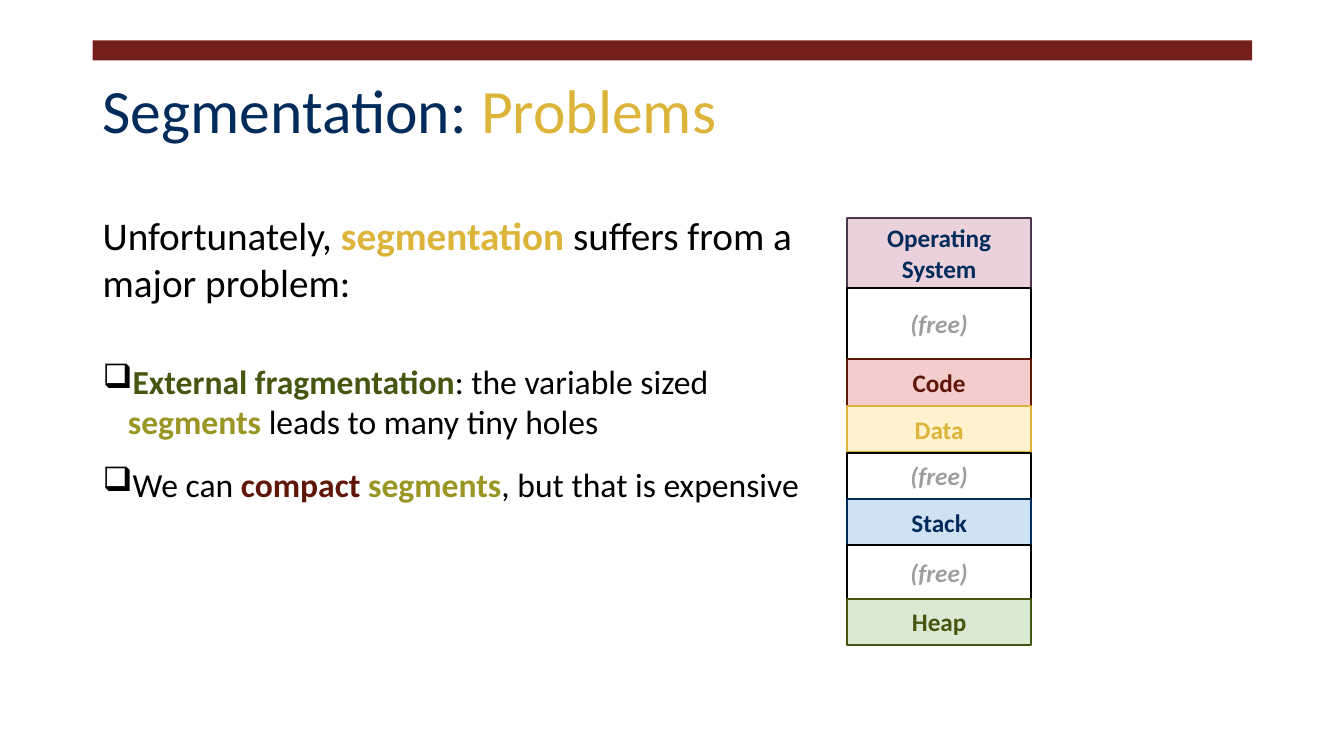
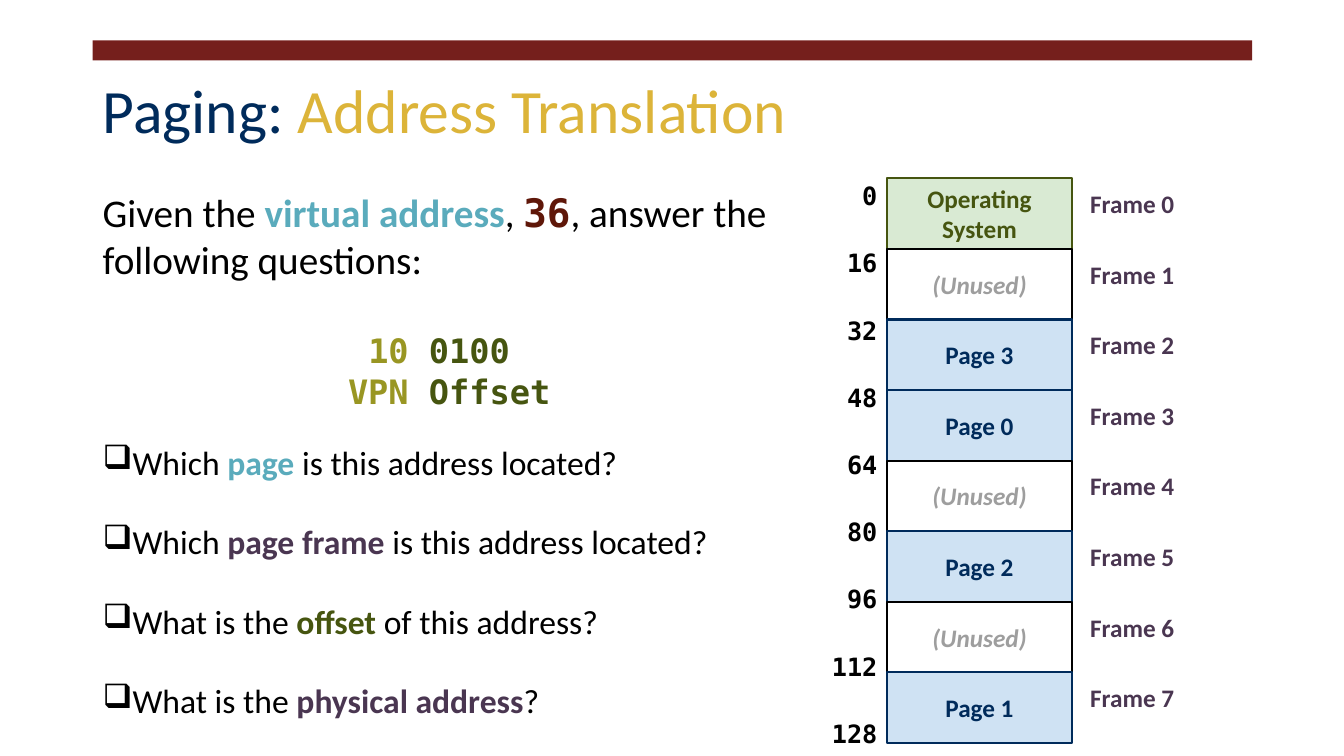
import lxml.etree
import pptx
import pptx.dml.color
import pptx.enum.shapes
import pptx.enum.text
import pptx.oxml.ns
import pptx.util

RGBColor = pptx.dml.color.RGBColor
MAROON = RGBColor(0x75, 0x1F, 0x1C)
NAVY = RGBColor(0x00, 0x2B, 0x5B)
GOLD = RGBColor(0xDC, 0xB4, 0x39)
BLACK = RGBColor(0x00, 0x00, 0x00)
WHITE = RGBColor(0xFF, 0xFF, 0xFF)
GREY = RGBColor(0x9E, 0x9E, 0x9E)
GREEN = RGBColor(0x46, 0x55, 0x10)
OLIVE = RGBColor(0x99, 0x96, 0x23)
RED = RGBColor(0x5F, 0x17, 0x09)
TEAL = RGBColor(0x5A, 0xAB, 0xBC)
PURPLE = RGBColor(0x4A, 0x36, 0x51)
PALE_PINK = RGBColor(0xEA, 0xD1, 0xDC)
PALE_BLUE = RGBColor(0xCF, 0xE2, 0xF3)
PALE_GREEN = RGBColor(0xD9, 0xEA, 0xD3)
PALE_GOLD = RGBColor(0xFF, 0xF2, 0xCC)
PALE_RED = RGBColor(0xF4, 0xCC, 0xCC)

SANS = "Calibri"
MONO = "DejaVu Sans Mono"
ALIGN = pptx.enum.text.PP_ALIGN
ANCHOR = pptx.enum.text.MSO_ANCHOR

BLOCK_STYLES = {
    "system": {"fill": PALE_PINK, "line": PURPLE, "color": NAVY},
    "free": {"fill": WHITE, "line": BLACK, "color": GREY, "italic": True},
    "code": {"fill": PALE_RED, "line": RED, "color": RED},
    "data": {"fill": PALE_GOLD, "line": GOLD, "color": GOLD},
    "blue": {"fill": PALE_BLUE, "line": NAVY, "color": NAVY},
    "green": {"fill": PALE_GREEN, "line": GREEN, "color": GREEN},
}


class Deck:
    grid_step = pptx.util.Inches(0.1)
    left = 9.2
    top = 4
    width = 115
    block_width = 18.3
    block_height = 7

    def __init__(self):
        self.presentation = pptx.Presentation()
        self.presentation.slide_width = pptx.util.Inches(13.33)
        self.presentation.slide_height = pptx.util.Inches(7.5)
        self.slide = None

    def place(self, *cells):
        return [round(cell * self.grid_step) for cell in cells]

    def new_slide(self, topic, subject):
        self.slide = self.presentation.slides.add_slide(self.presentation.slide_layouts[6])
        self.rectangle(self.left, self.top, self.width, 2, MAROON)
        frame = self.text_box(self.left, self.top, self.width, 14.5, ANCHOR.MIDDLE)
        runs = [(topic, {"color": NAVY, "bold": False}), (subject, {"color": GOLD, "bold": False})]
        self.paragraph(frame, runs, 44, line_spacing=0.9)

    def rectangle(self, left, top, width, height, fill, line=None):
        shape = self.slide.shapes.add_shape(
            pptx.enum.shapes.MSO_SHAPE.RECTANGLE, *self.place(left, top, width, height))
        shape.shadow.inherit = False
        shape.fill.solid()
        shape.fill.fore_color.rgb = fill
        if line is None:
            shape.line.fill.background()
        else:
            shape.line.color.rgb = line
            shape.line.width = pptx.util.Pt(1.5)
        return shape

    def prepare(self, shape, anchor):
        frame = shape.text_frame
        settings = {"word_wrap": True, "vertical_anchor": anchor}
        for side in ("left", "top", "right", "bottom"):
            settings["margin_" + side] = self.grid_step
        for name, value in settings.items():
            setattr(frame, name, value)
        return frame

    def text_box(self, left, top, width, height, anchor=ANCHOR.TOP):
        shape = self.slide.shapes.add_textbox(*self.place(left, top, width, height))
        return self.prepare(shape, anchor)

    def paragraph(self, frame, runs, size, bullet=False, indent=0, **layout):
        paragraph = frame.paragraphs[0]
        if paragraph.runs:
            paragraph = frame.add_paragraph()
        for name, value in layout.items():
            setattr(paragraph, name, value)
        properties = paragraph._p.get_or_add_pPr()
        if indent:
            properties.set("marL", str(self.place(indent)[0]))
        if bullet:
            margin = self.place(2.5)[0]
            properties.set("marL", str(margin))
            properties.set("indent", str(-margin))
            qn = pptx.oxml.ns.qn
            color = lxml.etree.SubElement(properties, qn("a:buClr"))
            lxml.etree.SubElement(color, qn("a:srgbClr")).set("val", str(BLACK))
            lxml.etree.SubElement(properties, qn("a:buChar")).set("char", "❑")
        for text, style in runs:
            run = paragraph.add_run()
            run.text = text
            style = {"name": SANS, "color": BLACK, "bold": bool(style), **style}
            run.font.color.rgb = style.pop("color")
            run.font.size = pptx.util.Pt(size)
            for name, value in style.items():
                setattr(run.font, name, value)

    def bullet(self, frame, before, *runs):
        self.paragraph(frame, runs, 24, bullet=True, space_before=pptx.util.Pt(before))

    def block(self, left, top, height, text, kind):
        style = dict(BLOCK_STYLES[kind])
        shape = self.rectangle(left, top, self.block_width, height,
                               style.pop("fill"), style.pop("line"))
        frame = self.prepare(shape, ANCHOR.MIDDLE)
        self.paragraph(frame, [(text, style)], 18, alignment=ALIGN.CENTER)

    def memory(self, left, top, blocks):
        for text, kind, height in blocks:
            self.block(left, top, height, text, kind)
            top += height

    def frame_labels(self, left, top, count):
        for number in range(count):
            frame = self.text_box(left, top + number * self.block_height, 12, self.block_height)
            self.paragraph(frame, [(f"Frame {number}", {"color": PURPLE})], 18,
                           alignment=ALIGN.CENTER)

    def addresses(self, left, top, count, step):
        frame = self.text_box(left, top, 8.8, 75 - top)
        for number in range(count):
            self.paragraph(frame, [(str(number * step), {"name": MONO})], 18,
                           alignment=ALIGN.RIGHT, line_spacing=pptx.util.Pt(16),
                           space_before=pptx.util.Pt(32 if number else 0))


def segmentation_slide(deck):
    deck.new_slide("Segmentation: ", "Problems")
    body = deck.text_box(deck.left, 20, 73.2, 53.5)
    deck.paragraph(body, [("Unfortunately, ", {}), ("segmentation", {"color": GOLD}),
                          (" suffers from a major problem:", {})], 28)
    deck.bullet(body, 39, ("External fragmentation", {"color": GREEN}),
                (": the variable sized ", {}), ("segments", {"color": OLIVE}),
                (" leads to many tiny holes", {}))
    deck.bullet(body, 16, ("We can ", {}), ("compact ", {"color": RED}),
                ("segments", {"color": OLIVE}), (", but that is expensive", {}))
    deck.memory(84, 21.6, [
        ("Operating System", "system", 7),
        ("(free)", "free", 7),
        ("Code", "code", 4.7),
        ("Data", "data", 4.6),
        ("(free)", "free", 4.6),
        ("Stack", "blue", 4.6),
        ("(free)", "free", 5.3),
        ("Heap", "green", 4.6),
    ])


def paging_slide(deck):
    deck.new_slide("Paging: ", "Address Translation")
    top = 17.7
    body = deck.text_box(deck.left, top, 68.7, 53.5)
    deck.paragraph(body, [("Given the ", {}), ("virtual address", {"color": TEAL}), (", ", {}),
                          ("36", {"name": MONO, "color": RED}),
                          (", answer the following questions:", {})], 28)
    for page, offset, before, indent in (("10 ", "0100", 34, 0), ("VPN ", "Offset", 0, 2)):
        deck.paragraph(body, [(page, {"name": MONO, "color": OLIVE}),
                              (offset, {"name": MONO, "color": GREEN})], 24, indent=indent,
                       alignment=ALIGN.CENTER, space_before=pptx.util.Pt(before))
    questions = [
        ("Which ", "page", TEAL, " is this address located?"),
        ("Which ", "page frame", PURPLE, " is this address located?"),
        ("What is the ", "offset", GREEN, " of this address?"),
        ("What is the ", "physical address", PURPLE, "?"),
    ]
    for number, (opening, term, color, ending) in enumerate(questions):
        deck.bullet(body, 28 if number else 22,
                    (opening, {}), (term, {"color": color}), (ending, {}))
    contents = ["Operating System", "(Unused)", "Page 3", "Page 0",
                "(Unused)", "Page 2", "(Unused)", "Page 1"]
    kinds = {"Operating System": "green", "(Unused)": "free"}
    deck.memory(88, top, [(text, kinds.get(text, "blue"), deck.block_height)
                          for text in contents])
    deck.addresses(79.2, top, len(contents) + 1, 16)
    deck.frame_labels(88 + deck.block_width, top, len(contents))


def main():
    deck = Deck()
    segmentation_slide(deck)
    paging_slide(deck)
    deck.presentation.save("out.pptx")


if __name__ == "__main__":
    main()
